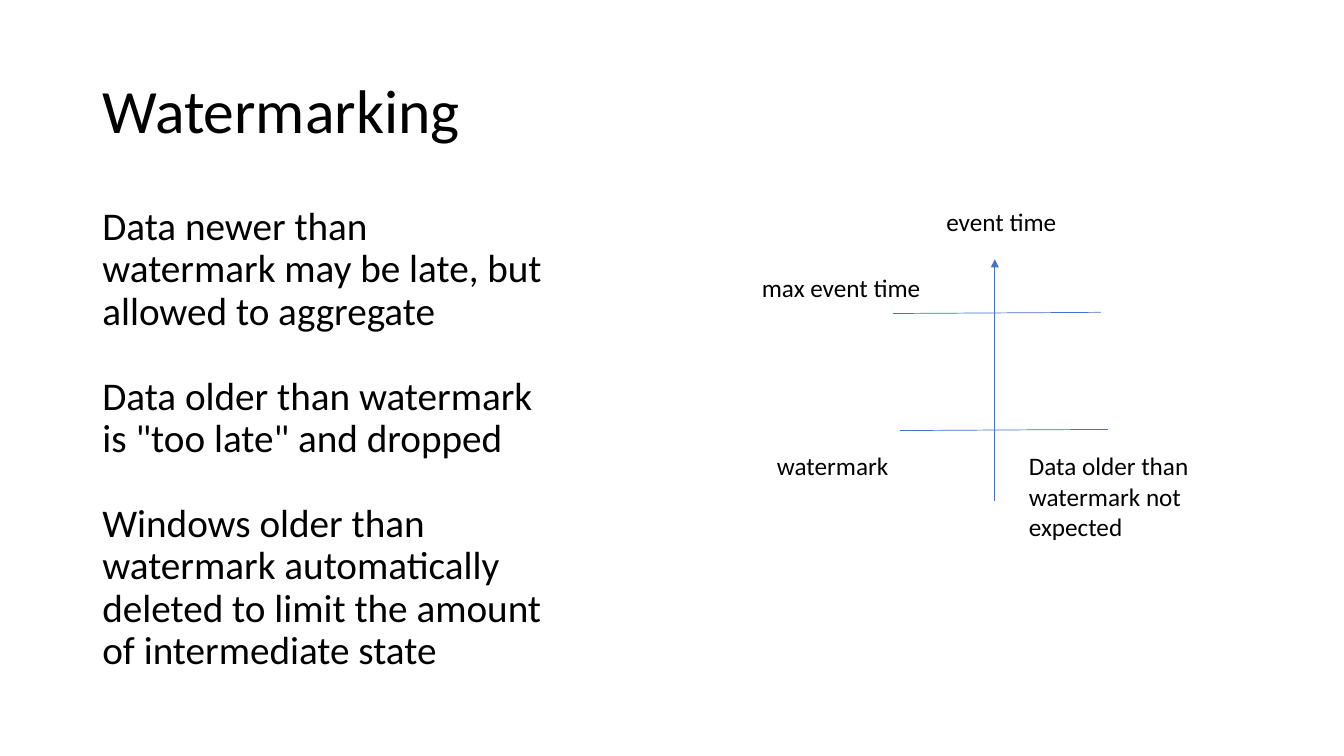
import pptx
import pptx.util
import pptx.dml.color
import pptx.enum.shapes
import pptx.enum.text
import pptx.oxml.ns
from lxml import etree

Cm, Pt = pptx.util.Cm, pptx.util.Pt
COLORS = {"text": "000000", "line": "4472C4"}
FONT = "Calibri"

deck = pptx.Presentation()
deck.slide_width, deck.slide_height = Cm(33.87), Cm(19.05)
slide = deck.slides.add_slide(deck.slide_layouts[6])


def add_text(box, lines, size, pitch=1.0, gap=0):
    left, top, width, height = box
    shape = slide.shapes.add_textbox(Cm(left), Cm(top), Cm(width), Cm(height))
    frame = shape.text_frame
    frame.word_wrap = True
    frame.text = "\n".join(lines)
    for i, para in enumerate(frame.paragraphs):
        para.line_spacing = pitch
        para.space_before = Pt(gap if i else 0)
        font = para.runs[0].font
        font.name, font.size = FONT, Pt(size)
        font.color.rgb = pptx.dml.color.RGBColor.from_string(COLORS["text"])
    return frame


def add_line(x1, y1, x2, y2):
    line = slide.shapes.add_connector(
        pptx.enum.shapes.MSO_CONNECTOR.STRAIGHT, Cm(x1), Cm(y1), Cm(x2), Cm(y2))
    line.line.width = Pt(0.5)
    line.line.color.rgb = pptx.dml.color.RGBColor.from_string(COLORS["line"])
    etree.SubElement(line._element.spPr, pptx.oxml.ns.qn("a:effectLst"))
    return line


# Title
title = add_text((2.33, 1.01, 29.21, 3.68), ["Watermarking"], 44, 0.9)
title.vertical_anchor = pptx.enum.text.MSO_ANCHOR.MIDDLE

# Rules for late data, one empty line's height apart
rules = [
    "Data newer than watermark may be late, but allowed to aggregate",
    'Data older than watermark is "too late" and dropped',
    "Windows older than watermark automatically deleted to limit the amount of intermediate state",
]
add_text((2.33, 5.08, 11.68, 12.09), rules, 28, 0.9, 30.5)

# Time axis with arrowhead
axis = add_line(25.07, 12.62, 25.07, 6.53)
etree.SubElement(axis.line._get_or_add_ln(), pptx.oxml.ns.qn("a:tailEnd"), type="triangle")

# Marks across the axis
for left, top in [(22.5, 7.9), (22.68, 10.85)]:
    add_line(left, top, left + 5.24, top - 0.03)

# Labels
labels = [
    ("event time", 23.6, 5.08, 4.14, 1.03),
    ("max event time", 18.95, 6.73, 5.38, 1.03),
    ("watermark", 19.33, 11.23, 5.38, 1.03),
    ("Data older than watermark not expected", 25.68, 11.23, 5.38, 2.56),
]
for text, *box in labels:
    frame = add_text(box, [text], 18)
    frame.auto_size = pptx.enum.text.MSO_AUTO_SIZE.SHAPE_TO_FIT_TEXT

deck.save("out.pptx")
